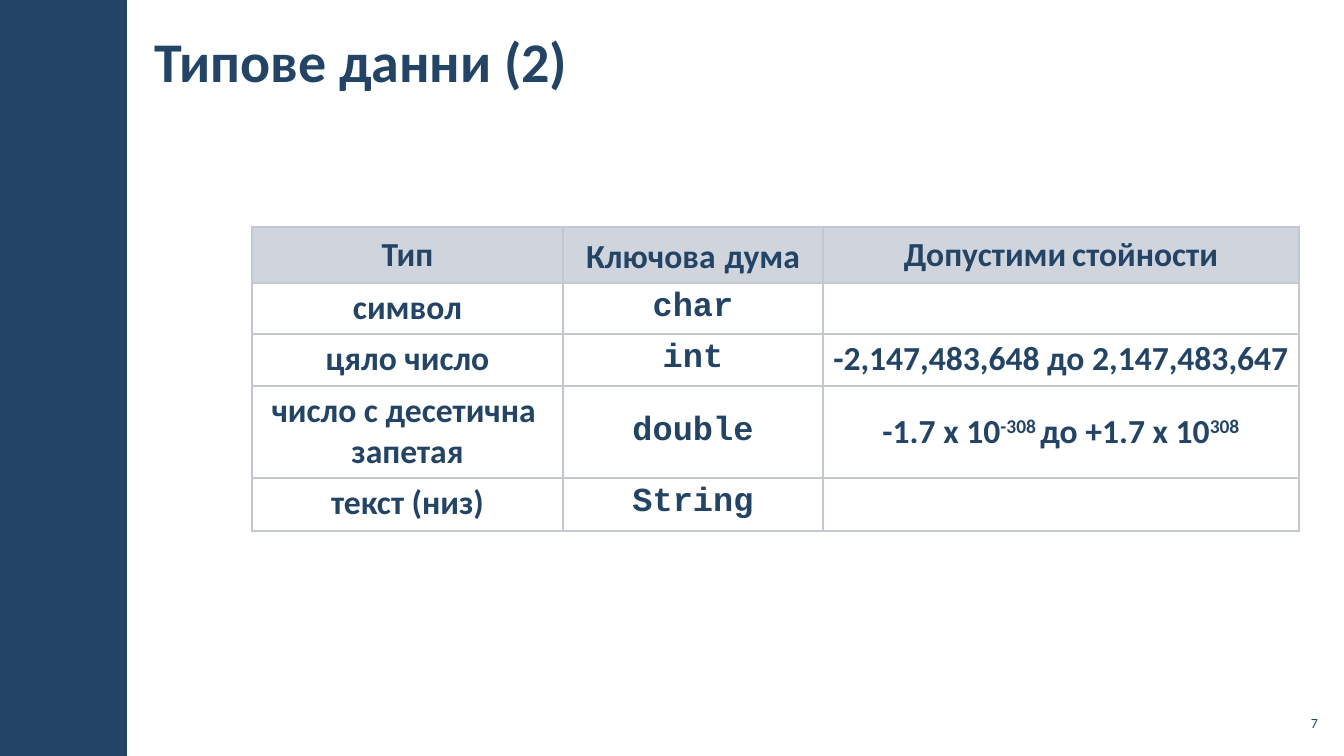
from lxml import etree
from pptx import Presentation
from pptx.dml.color import RGBColor
from pptx.enum.shapes import MSO_SHAPE
from pptx.enum.text import MSO_ANCHOR, PP_ALIGN
from pptx.oxml.ns import qn
from pptx.util import Emu, Pt

RECTANGLE = MSO_SHAPE.RECTANGLE
TOP, MIDDLE = MSO_ANCHOR.TOP, MSO_ANCHOR.MIDDLE
LEFT, CENTER, RIGHT = PP_ALIGN.LEFT, PP_ALIGN.CENTER, PP_ALIGN.RIGHT

EMU_PER_PX = 914400 / 100.8
NAVY, HEADER_GRAY, BORDER_GRAY = "234465", "A3ABBC", "C2C7D2"
BODY_FONT, CODE_FONT = "Calibri", "Courier New"

COLUMN_WIDTHS = [311, 260, 476]
ROW_HEIGHTS = [56, 51, 52, 92, 53]
HEADER = [
    ["Тип"],
    [[("Ключова", {}), (" ", {"size": 28}), ("дума", {})]],
    [[("Допустими", {}), (" ", {"size": 18}), ("стойности", {})]],
]
RAISED = {"raised": True}
DOUBLE_RANGE = [("-1.7 x 10", {}), ("-308 ", RAISED), ("до +1.7 x 10", {}), ("308", RAISED)]
DATA_TYPES = [
    [["символ"], ["char"], []],
    [["цяло число"], ["int"], ["-2,147,483,648 до 2,147,483,647"]],
    [["число с десетична ", "запетая"], ["double"], [DOUBLE_RANGE]],
    [["текст (низ)"], ["String"], []],
]


def px(length):
    return Emu(round(length * EMU_PER_PX))


def color(hex_code):
    return RGBColor.from_string(hex_code)


def format_span(span, size, font, bold, raised=False):
    span.font.size = Pt(size)
    span.font.name = font
    span.font.bold = bold
    span.font.color.rgb = color(NAVY)
    if raised:
        span._r.get_or_add_rPr().set("baseline", "30000")


def write_text(frame, paragraphs, size=24, font=BODY_FONT, bold=True, align=CENTER, line_spacing=None):
    """Fill a frame; a paragraph is a string or a list of (text, format changes)."""
    base = {"size": size, "font": font, "bold": bold}
    for index, content in enumerate(paragraphs):
        para = frame.paragraphs[0] if index == 0 else frame.add_paragraph()
        para.alignment = align
        para.line_spacing = line_spacing
        spans = [(content, {})] if isinstance(content, str) else content
        for text, changes in spans:
            span = para.add_run()
            span.text = text
            format_span(span, **{**base, **changes})


def place(shape, left, top, width, height):
    shape.left, shape.top, shape.width, shape.height = map(px, (left, top, width, height))


def set_frame(frame, side_margin):
    frame.word_wrap = True
    frame.vertical_anchor = MIDDLE
    frame.margin_left = frame.margin_right = px(side_margin)
    frame.margin_top = frame.margin_bottom = px(4)


def add_side_bar(page):
    bar = page.shapes.add_shape(RECTANGLE, 0, 0, px(127), px(756))
    bar.shadow.inherit = False
    bar.fill.solid()
    bar.fill.fore_color.rgb = color(NAVY)
    bar.line.fill.background()


def add_title(page, text):
    title = page.shapes.title
    place(title, 143, 11, 925, 98)
    set_frame(title.text_frame, 12)
    write_text(title.text_frame, [text], size=40, align=LEFT)


def add_page_number(page, number):
    box = page.shapes.add_textbox(px(1275), px(706), px(47), px(34))
    set_frame(box.text_frame, 4)
    write_text(box.text_frame, [number], size=10, bold=False, align=RIGHT)


def set_borders(cell):
    properties = cell._tc.get_or_add_tcPr()
    for side in ("a:lnL", "a:lnR", "a:lnT", "a:lnB"):
        line = etree.SubElement(properties, qn(side), w=str(Pt(1)))
        fill = etree.SubElement(line, qn("a:solidFill"))
        etree.SubElement(fill, qn("a:srgbClr"), val=BORDER_GRAY)


def fill_header(cell):
    cell.fill.solid()
    cell.fill.fore_color.rgb = color(HEADER_GRAY)
    shade = cell._tc.tcPr.find(".//" + qn("a:solidFill") + "/" + qn("a:srgbClr") + f"[@val='{HEADER_GRAY}']")
    etree.SubElement(shade, qn("a:alpha"), val="50000")


def add_type_table(page):
    rows = [HEADER, *DATA_TYPES]
    frame = page.shapes.add_table(
        len(rows), len(COLUMN_WIDTHS), px(252), px(227), px(sum(COLUMN_WIDTHS)), px(sum(ROW_HEIGHTS))
    )
    table = frame.table
    table.first_row = table.horz_banding = False
    for column, width in zip(table.columns, COLUMN_WIDTHS):
        column.width = px(width)
    for row_index, contents in enumerate(rows):
        table.rows[row_index].height = px(ROW_HEIGHTS[row_index])
        is_header = row_index == 0
        is_tall = any(len(paragraphs) > 1 for paragraphs in contents)
        for column_index, paragraphs in enumerate(contents):
            cell = table.cell(row_index, column_index)
            cell.vertical_anchor = MIDDLE if is_header or is_tall else TOP
            set_borders(cell)
            if is_header:
                fill_header(cell)
            else:
                cell.fill.background()
            is_code = column_index == 1 and not is_header
            write_text(
                cell.text_frame,
                paragraphs,
                font=CODE_FONT if is_code else BODY_FONT,
                line_spacing=0.95 if is_header and column_index < 2 else None,
            )


def main():
    deck = Presentation()
    deck.slide_width, deck.slide_height = px(1344), px(756)
    page = deck.slides.add_slide(deck.slide_layouts[5])
    add_side_bar(page)
    add_title(page, "Типове данни (2)")
    add_page_number(page, "7")
    add_type_table(page)
    deck.save("out.pptx")


if __name__ == "__main__":
    main()
